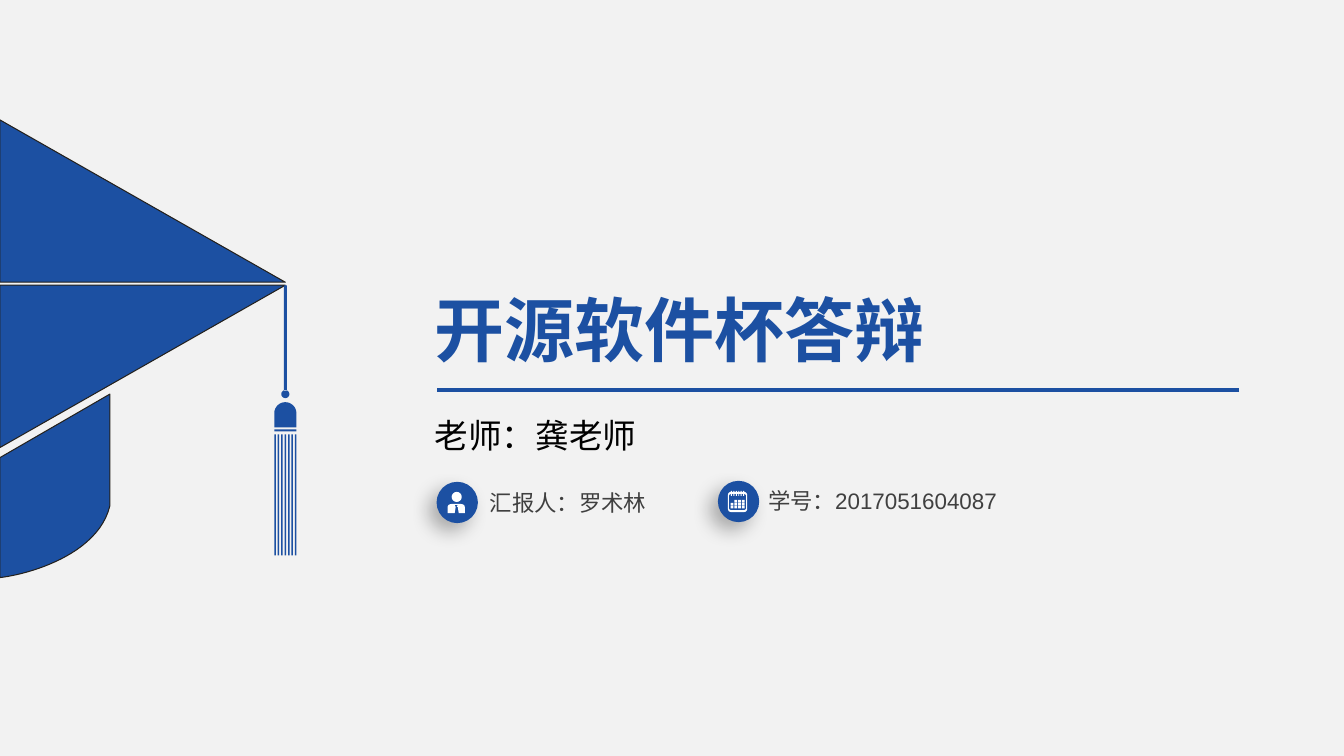
from math import cos, radians, sin

from lxml.etree import SubElement
from pptx import Presentation
from pptx.dml.color import RGBColor
from pptx.enum.shapes import MSO_CONNECTOR, MSO_SHAPE
from pptx.enum.text import MSO_AUTO_SIZE
from pptx.oxml.ns import qn
from pptx.util import Inches, Pt

BLUE, WHITE, BLACK, GREY = "1C50A2", "FFFFFF", "000000", "404040"
PAPER, EDGE = "F2F2F2", "24211D"
CJK, LATIN = "Noto Sans CJK SC", "Arial"


def rgb(value):
    """Turn a hex string into a colour."""
    return RGBColor.from_string(value)


def paint(shape, fill, edge=None):
    """Fill a shape flat, with an optional hairline edge."""
    shape.shadow.inherit = False
    shape.fill.solid()
    shape.fill.fore_color.rgb = rgb(fill)
    if edge:
        shape.line.color.rgb = rgb(edge)
        shape.line.width = Pt(0)
    else:
        shape.line.fill.background()


def rect(left, top, width, height):
    """Return the corners of a rectangle."""
    right, bottom = left + width, top + height
    return [(left, top), (right, top), (right, bottom), (left, bottom)]


def arc(cx, cy, rx, ry, start, end, steps=16):
    """Return points along an elliptical arc, angles running clockwise."""
    angles = [radians(start + (end - start) * i / steps) for i in range(steps + 1)]
    return [(cx + rx * cos(a), cy + ry * sin(a)) for a in angles]


def bezier(a, b, c, d, steps=24):
    """Return points along a cubic curve."""
    points = []
    for t in (i / steps for i in range(steps + 1)):
        weights = ((1 - t) ** 3, 3 * t * (1 - t) ** 2, 3 * t * t * (1 - t), t ** 3)
        points.append(tuple(sum(w * p[k] for w, p in zip(weights, (a, b, c, d)))
                            for k in (0, 1)))
    return points


def round_rect(left, top, width, height, radius):
    """Return the outline of a rectangle with rounded corners."""
    right, bottom = left + width - radius, top + height - radius
    corners = [(left + radius, top + radius), (right, top + radius),
               (right, bottom), (left + radius, bottom)]
    return [point for i, (x, y) in enumerate(corners)
            for point in arc(x, y, radius, radius, 180 + 90 * i, 270 + 90 * i, 6)]


def draw_outline(shapes, left, top, contours, fill, edge=None):
    """Draw closed contours, measured from a corner, as one shape."""
    placed = [[(Inches(left + x), Inches(top + y)) for x, y in contour]
              for contour in contours]
    builder = shapes.build_freeform(*placed[0][0], scale=1.0)
    for i, contour in enumerate(placed):
        if i:
            builder.move_to(*contour[0])
        builder.add_line_segments(contour[1:], close=True)
    paint(builder.convert_to_shape(), fill, edge)


def add_text(shapes, box, text, size, font, color, bold=False, spacing=None, inset=(0.1, 0.05)):
    """Place one line of text in a box."""
    frame = shapes.add_textbox(*map(Inches, box)).text_frame
    frame.word_wrap = True
    frame.auto_size = MSO_AUTO_SIZE.SHAPE_TO_FIT_TEXT
    frame.margin_left = frame.margin_right = Inches(inset[0])
    frame.margin_top = frame.margin_bottom = Inches(inset[1])
    paragraph = frame.paragraphs[0]
    if spacing:
        paragraph.line_spacing = spacing
    run = paragraph.add_run()
    run.text = text
    run.font.size, run.font.name, run.font.bold = Pt(size), font, bold
    run.font.color.rgb = rgb(color)
    SubElement(run.font._element, qn("a:ea"), typeface=CJK)


def add_heading(shapes, left, top):
    """Place the teacher, the title and the rule between them."""
    inset = (0.07, 0.04)
    add_text(shapes, (left, top + 1.08, 6.49, 0.68), "老师：龚老师", 24, CJK, BLACK,
             spacing=1.5, inset=inset)
    add_text(shapes, (left, top, 9.24, 0.92), "开源软件杯答辩", 50, CJK, BLUE,
             bold=True, inset=inset)
    rule_y = Inches(top + 1.07)
    rule = shapes.add_connector(MSO_CONNECTOR.STRAIGHT, Inches(left + 8.05), rule_y,
                                Inches(left + 0.09), rule_y)
    rule.line.color.rgb = rgb(BLUE)
    rule.line.width = Pt(2.25)
    SubElement(rule._element.spPr, qn("a:effectLst"))


def add_cap(shapes, left, top):
    """Draw the mortarboard and the side of the cap."""
    upper = [(0, 0), (2.83, 1.61), (0, 1.61)]
    lower = [(2.83, 1.64), (0, 3.25), (0, 1.64)]
    side = bezier((1.09, 3.83), (0.97, 4.32), (0.27, 4.51), (0, 4.54))
    side += [(0, 3.35), (1.09, 2.72)]
    draw_outline(shapes, left, top, [upper, lower, side], BLUE, EDGE)


def add_tassel(shapes, left, top):
    """Draw the cord, bead, knot and strands of the tassel."""
    width, strands, strand_width = 0.22, 7, 0.015
    middle = width / 2
    step = (width - strand_width) / (strands - 1)
    cord = rect(middle - 0.015, 0, 0.03, 1.05)
    bead = arc(middle, 1.08, 0.04, 0.04, -67, 247)
    knot = arc(middle, 1.27, middle, 0.11, 180, 360) + [(width, 1.41), (0, 1.41)]
    band = rect(0, 1.43, width, 0.02)
    fringe = [rect(i * step, 1.48, strand_width, 1.2) for i in range(strands)]
    draw_outline(shapes, left, top, [cord, bead, knot, band, *fringe], BLUE)


def person_icon():
    """Return the contours of a head and a suited body."""
    head = arc(0.09, 0.05, 0.05, 0.05, 0, 360)
    body = arc(0.04, 0.15, 0.04, 0.03, 180, 270, 6) + arc(0.13, 0.15, 0.04, 0.03, 270, 360, 6)
    body += [(0.17, 0.21), (0.11, 0.21), (0.1, 0.15), (0.09, 0.15), (0.1, 0.13),
             (0.07, 0.13), (0.08, 0.15), (0.07, 0.21), (0, 0.21)]
    return [body, head]


def calendar_icon():
    """Return the contours of a calendar page with rings and days."""
    frame = [round_rect(0, 0.01, 0.19, 0.2, 0.03), round_rect(0.01, 0.03, 0.17, 0.16, 0.02)]
    rings = [rect(0.03 + 0.024 * i, y, 0.01, height)
             for i in range(6) for y, height in ((0, 0.01), (0.03, 0.02))]
    days = [rect(0.026 + 0.037 * column, 0.09 + 0.03 * row, 0.028, 0.024)
            for row in range(3) for column in range(4) if row or column]
    return frame + rings + days


def add_detail(shapes, left, top, icon, icon_left, text, text_left, text_top, text_width):
    """Group a shadowed badge, its icon and its label."""
    group = shapes.add_group_shape().shapes
    badge = group.add_shape(MSO_SHAPE.OVAL, *map(Inches, (left, top, 0.41, 0.41)))
    paint(badge, BLUE)
    effects = badge._element.spPr.find(qn("a:effectLst"))
    shadow = SubElement(effects, qn("a:outerShdw"), blurRad=str(Pt(14)), dist=str(Pt(8)),
                        dir=str(135 * 60000), algn="tr", rotWithShape="0")
    tint = SubElement(shadow, qn("a:srgbClr"), val=BLACK)
    SubElement(tint, qn("a:alpha"), val="30000")
    draw_outline(group, left + icon_left, top + 0.1, icon, WHITE)
    add_text(group, (left + text_left, top + text_top, text_width, 0.37), text, 16, LATIN, GREY)


def main():
    """Build the cover slide and save it."""
    deck = Presentation()
    deck.slide_width, deck.slide_height = Inches(13.33), Inches(7.5)
    slide = deck.slides.add_slide(deck.slide_layouts[6])
    slide.background.fill.solid()
    slide.background.fill.fore_color.rgb = rgb(PAPER)
    shapes = slide.shapes
    add_heading(shapes, 4.24, 2.8)
    add_cap(shapes, 0, 1.19)
    add_tassel(shapes, 2.72, 2.83)
    add_detail(shapes, 4.33, 4.78, person_icon(), 0.11, "汇报人：罗术林", 0.43, 0.02, 2.04)
    add_detail(shapes, 7.12, 4.77, calendar_icon(), 0.1, "学号：2017051604087", 0.4, 0.01, 2.55)
    deck.save("out.pptx")


if __name__ == "__main__":
    main()
